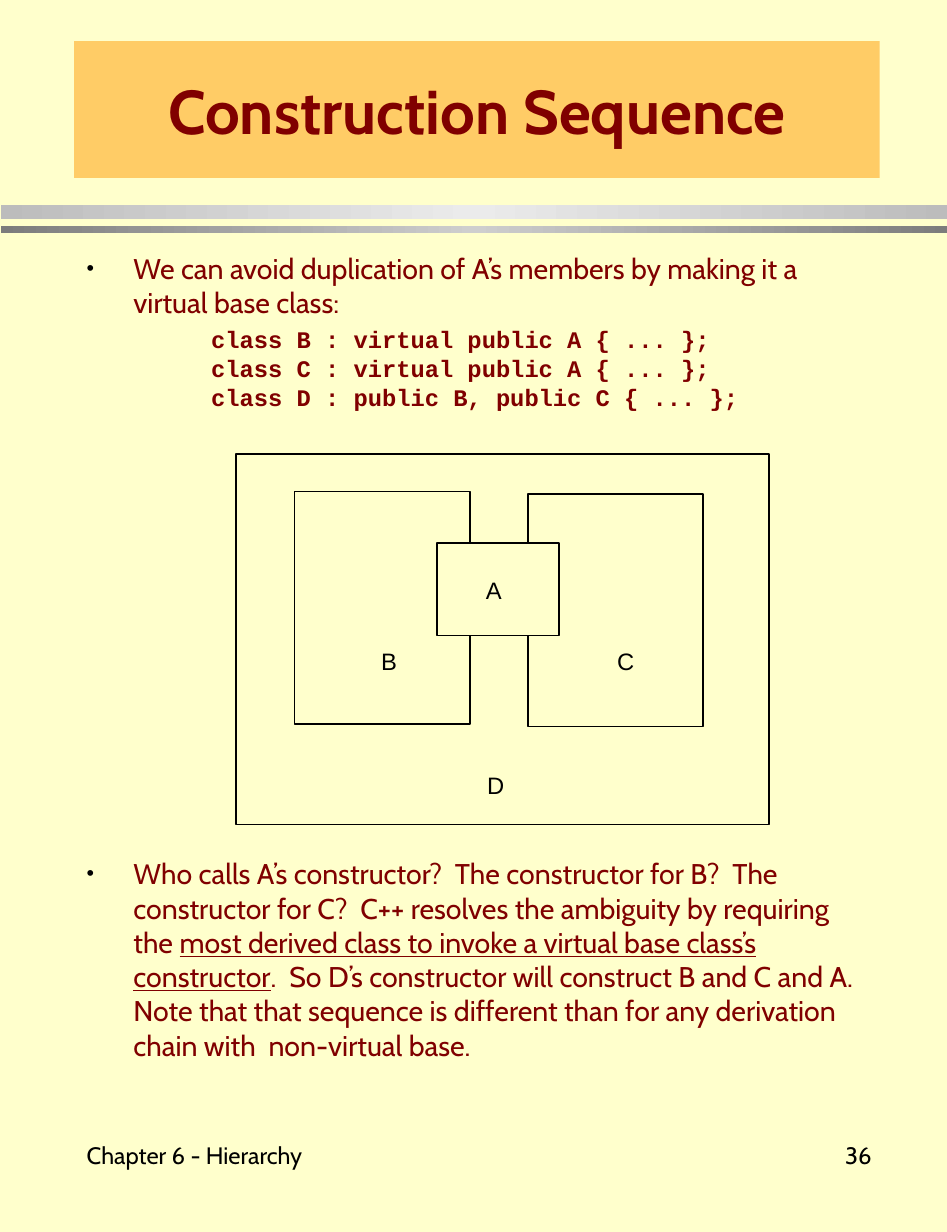
from copy import deepcopy

from lxml.etree import SubElement
from pptx import Presentation
from pptx.dml.color import RGBColor
from pptx.enum.shapes import MSO_SHAPE
from pptx.enum.text import MSO_ANCHOR, MSO_AUTO_SIZE, PP_ALIGN
from pptx.oxml.ns import qn
from pptx.util import Inches, Pt

CREAM = RGBColor(0xFF, 0xFF, 0xCC)
ORANGE = RGBColor(0xFF, 0xCC, 0x66)
MAROON = RGBColor(0x80, 0x00, 0x00)
BLACK = RGBColor(0x00, 0x00, 0x00)
LIGHT_BAR = RGBColor(0xBC, 0xBC, 0xBC), RGBColor(0xEB, 0xEB, 0xEB)
DARK_BAR = RGBColor(0x7C, 0x7C, 0x7C), RGBColor(0xCE, 0xCE, 0xCE)

CODE_LINES = [
    "class B : virtual public A { ... };",
    "class C : virtual public A { ... };",
    "class D : public B, public C { ... };",
]
QUESTION_RUNS = [
    ("Who calls A’s constructor?  The constructor for B?  The constructor for C?  "
     "C++ resolves the ambiguity by requiring the ", False),
    ("most derived class to invoke a virtual base class’s constructor", True),
    (".  So D’s constructor will construct B and C and A.  Note that that sequence "
     "is different than for any derivation chain with  non-virtual base.", False),
]


def place(shape, left, top, width, height):
    shape.left, shape.top = Inches(left), Inches(top)
    shape.width, shape.height = Inches(width), Inches(height)


def set_frame(text_frame, anchor):
    text_frame.word_wrap = True
    text_frame.auto_size = MSO_AUTO_SIZE.NONE
    text_frame.vertical_anchor = anchor
    text_frame.margin_left = text_frame.margin_right = Inches(0.11)
    text_frame.margin_top = text_frame.margin_bottom = Inches(0.05)


def style_runs(paragraph, size, name, color, bold=False):
    for run in paragraph.runs:
        run.font.size = Pt(size)
        run.font.name = name
        run.font.bold = bold
        run.font.color.rgb = color


def set_indent(paragraph, margin, indent, bullet=False):
    properties = paragraph._p.get_or_add_pPr()
    properties.set("marL", str(Inches(margin)))
    properties.set("indent", str(Inches(indent)))
    if bullet:
        color = SubElement(properties, qn("a:buClr"))
        SubElement(color, qn("a:srgbClr"), val=str(BLACK))
        SubElement(properties, qn("a:buSzPct"), val="75000")
        SubElement(properties, qn("a:buChar"), char="•")
    else:
        SubElement(properties, qn("a:buNone"))


def add_box(slide, left, top, width, height):
    shape = slide.shapes.add_shape(MSO_SHAPE.RECTANGLE, Inches(left), Inches(top),
                                   Inches(width), Inches(height))
    shape.shadow.inherit = False
    return shape


def add_label(slide, text, left, top, width, height, size, name,
              alignment=PP_ALIGN.LEFT, anchor=MSO_ANCHOR.TOP):
    label = slide.shapes.add_textbox(Inches(left), Inches(top), Inches(width), Inches(height))
    set_frame(label.text_frame, anchor)
    label.text_frame.text = text
    paragraph = label.text_frame.paragraphs[0]
    paragraph.alignment = alignment
    style_runs(paragraph, size, name, BLACK)


def add_bar(slide, left, top, width, height, edge, middle):
    bar = add_box(slide, left, top, width, height)
    bar.line.fill.background()
    bar.fill.gradient()
    bar.fill.gradient_angle = 0
    stop_list = bar._element.spPr.find(qn("a:gradFill")).find(qn("a:gsLst"))
    stop_list.insert(1, deepcopy(stop_list[0]))
    for stop, position, color in zip(bar.fill.gradient_stops, (0, 0.5, 1), (edge, middle, edge)):
        stop.position = position
        stop.color.rgb = color


def fill_title(slide, left, top, width, height):
    title = slide.shapes.title
    place(title, left, top, width, height)
    title.fill.solid()
    title.fill.fore_color.rgb = ORANGE
    set_frame(title.text_frame, MSO_ANCHOR.MIDDLE)
    title.text_frame.text = "Construction Sequence"
    paragraph = title.text_frame.paragraphs[0]
    paragraph.alignment = PP_ALIGN.CENTER
    style_runs(paragraph, 39, "Cabin", MAROON, bold=True)


def fill_body(slide, left, top, width, height):
    body = slide.placeholders[1]
    place(body, left, top, width, height)
    text_frame = body.text_frame
    set_frame(text_frame, MSO_ANCHOR.TOP)

    text_frame.text = "We can avoid duplication of A’s members by making it a virtual base class:"
    statement = text_frame.paragraphs[0]
    statement.space_before = Pt(0)
    set_indent(statement, 0.41, -0.41, bullet=True)
    style_runs(statement, 18, "Cabin", MAROON)

    for index, line in enumerate(CODE_LINES):
        code = text_frame.add_paragraph()
        code.text = line
        code.line_spacing = Pt(18.3)
        code.space_before = Pt(0 if index else 3)
        set_indent(code, 1.09, 0)
        style_runs(code, 15, "Courier New", MAROON, bold=True)

    question = text_frame.add_paragraph()
    question.space_before = Pt(281)
    set_indent(question, 0.41, -0.41, bullet=True)
    for text, underlined in QUESTION_RUNS:
        run = question.add_run()
        run.text = text
        run.font.underline = underlined
    style_runs(question, 18, "Cabin", MAROON)


def add_class_diagram(slide, left, top, width, height):
    add_class(slide, "D", left, top, width, height, 2.09, 2.73)
    add_class(slide, "C", left + 2.56, top + 0.35, 1.53, 2.04, 0.67, 1.29)
    add_class(slide, "B", left + 0.51, top + 0.33, 1.54, 2.04, 0.65, 1.31)
    add_class(slide, "A", left + 1.76, top + 0.78, 1.07, 0.81, 0.32, 0.24)


def add_class(slide, name, left, top, width, height, label_left, label_top):
    box = add_box(slide, left, top, width, height)
    box.fill.solid()
    box.fill.fore_color.rgb = CREAM
    box.line.color.rgb = BLACK
    box.line.width = Pt(1)
    add_label(slide, name, left + label_left, top + label_top, 0.4, 0.36, 15, "Arial")


def add_footer(slide, left, top, width, height):
    half = width / 2
    add_label(slide, "Chapter 6 - Hierarchy", left, top, half, height, 15, "Cabin",
              anchor=MSO_ANCHOR.MIDDLE)
    add_label(slide, "36", left + half, top, half, height, 15, "Cabin",
              PP_ALIGN.RIGHT, MSO_ANCHOR.MIDDLE)


def main():
    presentation = Presentation()
    presentation.slide_width, presentation.slide_height = Inches(8.3), Inches(10.8)
    slide = presentation.slides.add_slide(presentation.slide_layouts[1])
    slide.background.fill.solid()
    slide.background.fill.fore_color.rgb = CREAM
    add_bar(slide, 0.01, 1.8, 8.29, 0.12, *LIGHT_BAR)
    add_bar(slide, 0.01, 1.98, 8.29, 0.06, *DARK_BAR)
    fill_title(slide, 0.65, 0.36, 7.06, 1.2)
    fill_body(slide, 0.65, 2.15, 7.05, 7.75)
    add_class_diagram(slide, 2.07, 3.98, 4.67, 3.25)
    add_footer(slide, 0.65, 9.72, 7.1, 0.81)
    presentation.save("out.pptx")


if __name__ == "__main__":
    main()
